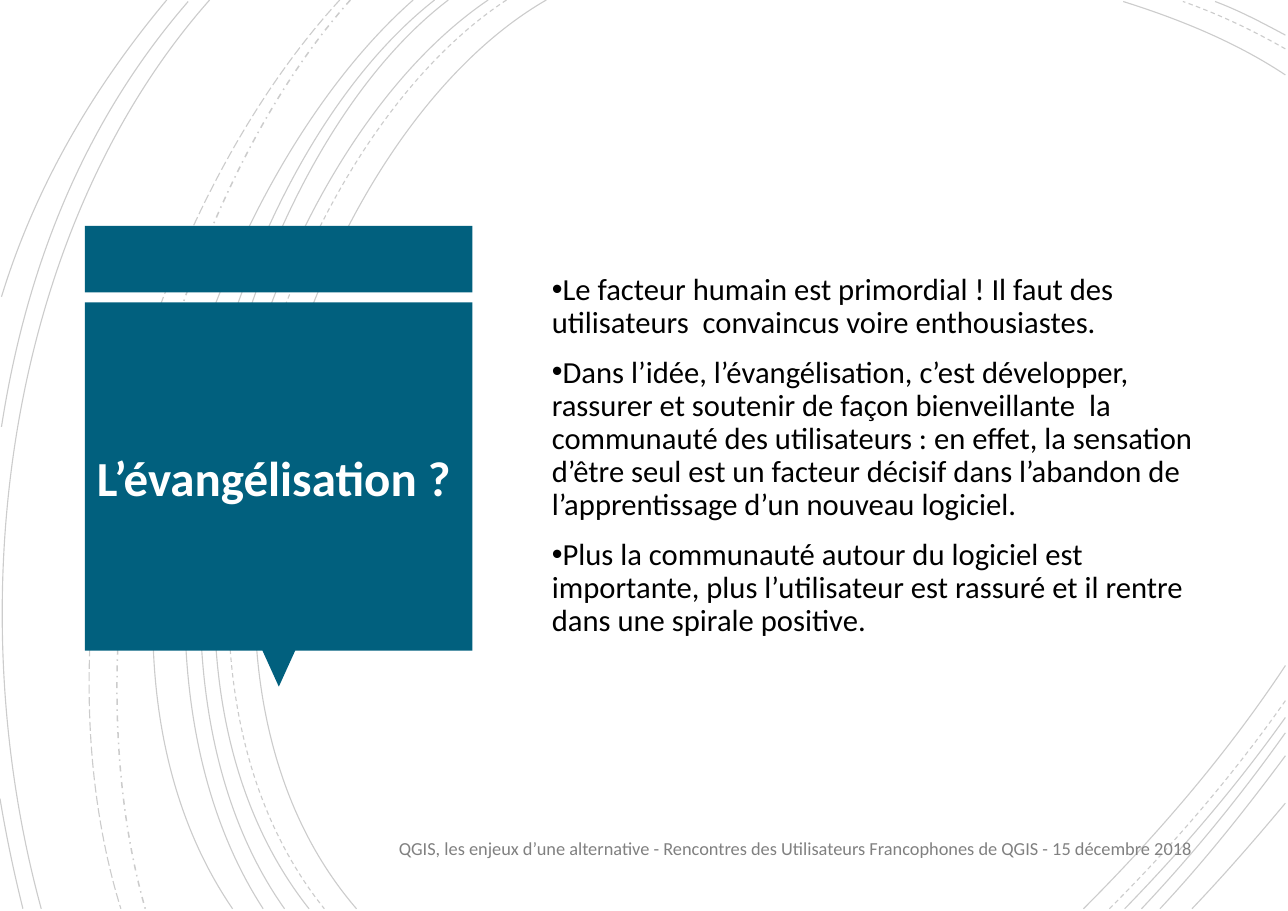
from lxml import etree
from pptx import Presentation
from pptx.dml.color import RGBColor
from pptx.enum.dml import MSO_LINE
from pptx.enum.shapes import MSO_SHAPE
from pptx.enum.text import MSO_ANCHOR, PP_ALIGN
from pptx.oxml.ns import qn
from pptx.util import Pt

SOLID, DASH = MSO_LINE.SOLID, MSO_LINE.DASH
LONG, DOT = MSO_LINE.LONG_DASH, MSO_LINE.DASH_DOT
RECT, TIP = MSO_SHAPE.RECTANGLE, MSO_SHAPE.ISOSCELES_TRIANGLE
MIDDLE = MSO_ANCHOR.MIDDLE
LEFT, CENTER, RIGHT = PP_ALIGN.LEFT, PP_ALIGN.CENTER, PP_ALIGN.RIGHT
BLACK = RGBColor(0, 0, 0)
WHITE = RGBColor(255, 255, 255)
GRAY = RGBColor(128, 128, 128)
TEAL = RGBColor(0x01, 0x60, 0x7E)
FONT = "Calibri"

TITLE = "L’évangélisation ? "
POINTS = [
    "Le facteur humain est primordial ! Il faut des utilisateurs  convaincus voire enthousiastes.",
    "Dans l’idée, l’évangélisation, c’est développer, rassurer et soutenir de façon bienveillante  la "
    "communauté des utilisateurs : en effet, la sensation d’être seul est un facteur décisif dans "
    "l’abandon de l’apprentissage d’un nouveau logiciel.",
    "Plus la communauté autour du logiciel est importante, plus l’utilisateur est rassuré et il rentre "
    "dans une spirale positive.",
]
FOOTER = ("QGIS, les enjeux d’une alternative - Rencontres des Utilisateurs Francophones de QGIS"
          " - 15 décembre 2018")

CURVES = [
    (SOLID, 0.75, [(357, 0), (199, 91), (90, 428), (233, 594)]),
    (SOLID, 0.75, [(840, 49), (807, 27), (769, 12), (734, 1)]),
    (SOLID, 0.75, [(708, 594), (755, 547), (801, 494), (840, 435)]),
    (DASH, 0.75, [(331, 0), (180, 99), (77, 426), (212, 594)]),
    (DASH, 0.75, [(840, 32), (819, 20), (796, 9), (773, 1)]),
    (DASH, 0.75, [(725, 594), (765, 554), (805, 508), (840, 458)]),
    (SOLID, 0.75, [(319, 0), (170, 101), (69, 426), (202, 594)]),
    (SOLID, 0.75, [(840, 23), (825, 15), (810, 7), (794, 1)]),
    (SOLID, 0.75, [(735, 594), (772, 556), (808, 514), (840, 469)]),
    (SOLID, 0.75, [(293, 0), (154, 106), (69, 429), (186, 594)]),
    (SOLID, 0.75, [(746, 594), (779, 559), (811, 520), (840, 479)]),
    (SOLID, 0.75, [(284, 0), (145, 109), (61, 423), (172, 594)]),
    (SOLID, 0.75, [(758, 594), (787, 563), (814, 529), (840, 494)]),
    (SOLID, 0.75, [(270, 0), (137, 117), (33, 420), (152, 594)]),
    (SOLID, 0.75, [(779, 594), (800, 572), (820, 549), (840, 525)]),
    (DOT, 1, [(229, 0), (111, 132), (41, 404), (95, 594)]),
    (LONG, 0.75, [(222, 0), (99, 134), (18, 396), (79, 594)]),
    (SOLID, 0.75, [(137, 0), (7, 147), (-29, 389), (27, 594)]),
    (SOLID, 0.75, [(123, 1), (58, 76), (18, 169), (1, 279)]),
    (SOLID, 0.75, [(0, 522), (4, 546), (9, 570), (15, 594)]),
    (SOLID, 0.75, [(109, 0), (63, 55), (24, 119), (1, 194)]),
]
BLOCKS = [
    (RECT, (55.4, 147.6, 253.4, 43.6), 0),
    (TIP, (171.4, 425, 21.6, 23.8), 180),
    (RECT, (55.4, 197.6, 253.4, 227.8), 0),
]


def draw(shapes, dash, width, curve):
    start, *rest = [(Pt(x), Pt(y)) for x, y in curve]
    pen = shapes.build_freeform(*start)
    pen.add_line_segments(rest, close=False)
    arc = pen.convert_to_shape()
    arc.shadow.inherit = False
    arc.fill.background()
    line = arc.line
    line.color.rgb = BLACK
    line.width = Pt(width)
    line.dash_style = dash
    props = arc._element.spPr
    track = props.find(".//" + qn("a:path"))
    bend = etree.SubElement(track, qn("a:cubicBezTo"))
    for step in track.findall(qn("a:lnTo")):
        bend.append(step[0])
        track.remove(step)
    color = props.find(qn("a:ln")).find(".//" + qn("a:srgbClr"))
    etree.SubElement(color, qn("a:alpha")).set("val", "20000")


def block(shapes, kind, box, turn):
    shape = shapes.add_shape(kind, *map(Pt, box))
    shape.shadow.inherit = False
    shape.fill.solid()
    shape.fill.fore_color.rgb = TEAL
    shape.line.fill.background()
    shape.rotation = turn


def write(shapes, box, lines, size, color, align, bold=False, space=1, bullet=False):
    frame = shapes.add_textbox(*map(Pt, box)).text_frame
    frame.word_wrap = True
    frame.vertical_anchor = MIDDLE
    for i, text in enumerate(lines):
        para = frame.add_paragraph() if i else frame.paragraphs[0]
        para.alignment = align
        para.line_spacing = space
        if i:
            para.space_before = Pt(11)
        if bullet:
            props = para._p.get_or_add_pPr()
            props.set("marL", "0")
            props.set("indent", str(-Pt(18)))
            etree.SubElement(props, qn("a:buFont")).set("typeface", "Arial")
            etree.SubElement(props, qn("a:buChar")).set("char", "•")
        run = para.add_run()
        run.text = text
        font = run.font
        font.name, font.size, font.bold = FONT, Pt(size), bold
        font.color.rgb = color


def main():
    deck = Presentation()
    deck.slide_width, deck.slide_height = Pt(841.68), Pt(595.44)
    slide = deck.slides.add_slide(deck.slide_layouts[6])
    slide.background.fill.solid()
    slide.background.fill.fore_color.rgb = WHITE
    shapes = slide.shapes
    for dash, width, curve in CURVES:
        draw(shapes, dash, width, curve)
    for kind, box, turn in BLOCKS:
        block(shapes, kind, box, turn)
    write(shapes, (48.4, 210, 268.6, 208.1), [TITLE], 32, WHITE, CENTER, bold=True, space=0.9)
    write(shapes, (353.5, 70.1, 433.4, 455.8), POINTS, 20, BLACK, LEFT, space=0.9, bullet=True)
    write(shapes, (55.2, 540.3, 731.5, 28.1), [FOOTER], 12, GRAY, RIGHT)
    deck.save("out.pptx")


if __name__ == "__main__":
    main()
